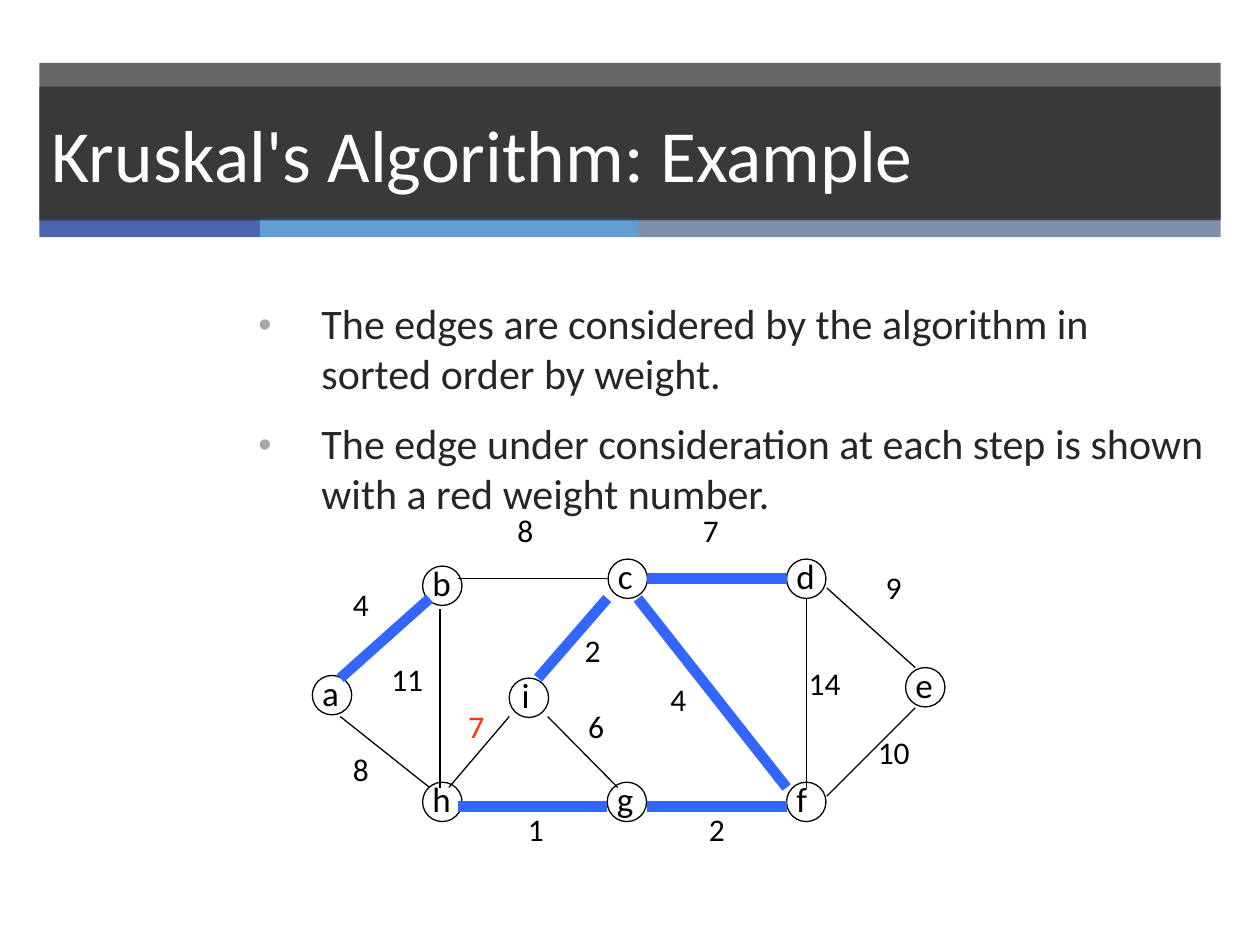
from dataclasses import dataclass

from lxml import etree
from pptx import Presentation
from pptx.dml.color import RGBColor
from pptx.enum import shapes, text
from pptx.oxml import ns
from pptx.util import Pt


@dataclass(frozen=True)
class Theme:
    font: str = "Calibri"
    dark: str = "262626"
    white: str = "FFFFFF"
    black: str = "000000"
    blue: str = "3366FF"
    red: str = "FF3300"
    dot: str = "A6A6A6"
    bars: tuple = ("4A66AC", "629DD1", "7F8FA9")
    title: float = 42
    body: float = 24
    node: float = 20
    weight: float = 18
    thin: float = 0.75
    thick: float = 6


@dataclass(frozen=True)
class Node:
    name: str
    x: float
    y: float
    wide: float = 23
    dx: float = -1.5


@dataclass(frozen=True)
class Edge:
    x1: float
    y1: float
    x2: float
    y2: float
    tree: bool = False


@dataclass(frozen=True)
class Weight:
    val: str
    x: float
    y: float
    color: str = Theme.black


T = Theme()
SIZE = 22.5
LEFT = 22.5

NODES = [
    Node("a", 178.5, 386), Node("b", 241.5, 323.5, 24.5),
    Node("h", 241.5, 447, 24.5), Node("c", 347.5, 319.5),
    Node("d", 449.5, 319.5, 24.5), Node("e", 517.5, 381.5),
    Node("f", 449.5, 447, 21), Node("g", 347, 447, 24.5),
    Node("i", 291, 387.5, 20, 0),
]
EDGES = [
    Edge(194.5, 387.5, 245.5, 342, True), Edge(194.5, 409.5, 245.5, 450),
    Edge(251.5, 348, 251.5, 450), Edge(262, 330.5, 347, 330.5),
    Edge(262, 461, 347, 461, True), Edge(370, 461, 449.5, 461, True),
    Edge(364.5, 342, 449.5, 450, True), Edge(370, 330.5, 449.5, 330.5, True),
    Edge(461, 342, 461, 450), Edge(472.5, 336, 523, 381.5),
    Edge(472.5, 455, 523, 404.5), Edge(313, 409.5, 353, 450),
    Edge(256.5, 450, 291, 409.5), Edge(307.5, 387.5, 347, 342, True),
]
WEIGHTS = [
    Weight("4", 194.5, 330.5), Weight("8", 288.5, 288.5),
    Weight("7", 394.5, 288.5), Weight("9", 499, 321),
    Weight("10", 494.5, 415.5), Weight("14", 455, 376),
    Weight("4", 376, 385), Weight("2", 327, 357),
    Weight("2", 398, 459.5), Weight("6", 329, 400.5),
    Weight("1", 294.5, 459.5), Weight("7", 260.5, 400.5, T.red),
    Weight("11", 216.5, 373.5), Weight("8", 194.5, 425),
]
POINTS = [
    "The edges are considered by the algorithm in sorted order by weight.",
    "The edge under consideration at each step is shown with a red weight number.",
]


def rgb(code: str) -> RGBColor:
    return RGBColor.from_string(code)


def write(para, words: str, size: float, color: str) -> None:
    run = para.add_run()
    run.text = words
    run.font.name = T.font
    run.font.size = Pt(size)
    run.font.color.rgb = rgb(color)


def place(shape, x: float, y: float, w: float, h: float) -> None:
    shape.left, shape.top, shape.width, shape.height = map(Pt, (x, y, w, h))


def paint(shape, color: str, alpha: int = 100) -> None:
    """Fill a shape, with its opacity in percent."""
    shape.fill.solid()
    shape.fill.fore_color.rgb = rgb(color)
    if alpha < 100:
        tone = shape.fill._xPr.find(".//" + ns.qn("a:srgbClr"))
        etree.SubElement(tone, ns.qn("a:alpha"), val=str(alpha * 1000))


def bar(slide, x: float, y: float, w: float, h: float,
        color: str, alpha: int = 100) -> None:
    rect = slide.shapes.add_shape(
        shapes.MSO_SHAPE.RECTANGLE, Pt(x), Pt(y), Pt(w), Pt(h))
    rect.shadow.inherit = False
    rect.line.fill.background()
    paint(rect, color, alpha)


def label(group, words: str, x: float, y: float, w: float, h: float,
          size: float, color: str) -> None:
    box = group.shapes.add_textbox(Pt(x), Pt(y), Pt(w), Pt(h))
    box.text_frame.word_wrap = False
    write(box.text_frame.paragraphs[0], words, size, color)


def draw_node(group, node: Node) -> None:
    label(group, node.name, node.x + node.dx, node.y - 6, node.wide, 31,
          T.node, T.black)
    ring = group.shapes.add_shape(
        shapes.MSO_SHAPE.OVAL, Pt(node.x), Pt(node.y), Pt(SIZE), Pt(SIZE))
    ring.shadow.inherit = False
    ring.fill.background()
    ring.line.color.rgb = rgb(T.black)
    ring.line.width = Pt(T.thin)


def draw_edge(group, edge: Edge) -> None:
    line = group.shapes.add_connector(
        shapes.MSO_CONNECTOR.STRAIGHT,
        Pt(edge.x1), Pt(edge.y1), Pt(edge.x2), Pt(edge.y2))
    line.line.color.rgb = rgb(T.blue if edge.tree else T.black)
    line.line.width = Pt(T.thick if edge.tree else T.thin)
    etree.SubElement(line.element.spPr, ns.qn("a:effectLst"))


def draw_weight(group, mark: Weight) -> None:
    label(group, mark.val, mark.x, mark.y, 15 + 11.5 * len(mark.val), 36,
          T.weight, mark.color)


def bullet(para) -> None:
    props = para._p.get_or_add_pPr()
    props.set("marL", str(Pt(36)))
    props.set("indent", str(-Pt(36)))
    tint = etree.SubElement(props, ns.qn("a:buClr"))
    etree.SubElement(tint, ns.qn("a:srgbClr"), val=T.dot)
    etree.SubElement(props, ns.qn("a:buSzPct"), val="90000")
    etree.SubElement(props, ns.qn("a:buFont"), typeface="Arial")
    etree.SubElement(props, ns.qn("a:buChar"), char="•")


def fill_title(title) -> None:
    place(title, LEFT, 49.5, 675, 76.5)
    paint(title, T.dark, 70)
    frame = title.text_frame
    frame.auto_size = text.MSO_AUTO_SIZE.NONE
    frame.vertical_anchor = text.MSO_ANCHOR.MIDDLE
    para = frame.paragraphs[0]
    para.alignment = text.PP_ALIGN.LEFT
    write(para, "Kruskal's Algorithm: Example", T.title, T.white)


def fill_body(body) -> None:
    place(body, 140.5, 168, 557, 314.5)
    frame = body.text_frame
    frame.auto_size = text.MSO_AUTO_SIZE.NONE
    for num, words in enumerate(POINTS):
        para = frame.add_paragraph() if num else frame.paragraphs[0]
        para.line_spacing = 0.98
        para.space_before = Pt(T.body / 2)
        bullet(para)
        write(para, words, T.body, T.dark)


def main() -> None:
    deck = Presentation()
    deck.slide_width, deck.slide_height = Pt(720), Pt(540)
    slide = deck.slides.add_slide(deck.slide_layouts[1])
    title, body = slide.placeholders

    bar(slide, LEFT, 36, 675, 89, T.dark, 70)
    x = LEFT
    for wide, color in zip((126, 216, 333), T.bars):
        bar(slide, x, 124.5, wide, 11, color)
        x += wide

    tree = title.element.getparent()
    for item, fill in ((title, fill_title), (body, fill_body)):
        tree.append(item.element)  # bring in front of the bars
        fill(item)

    graph = slide.shapes.add_group_shape()
    for draw, items in ((draw_node, NODES), (draw_edge, EDGES),
                        (draw_weight, WEIGHTS)):
        for item in items:
            draw(graph, item)
    deck.save("out.pptx")


if __name__ == "__main__":
    main()
